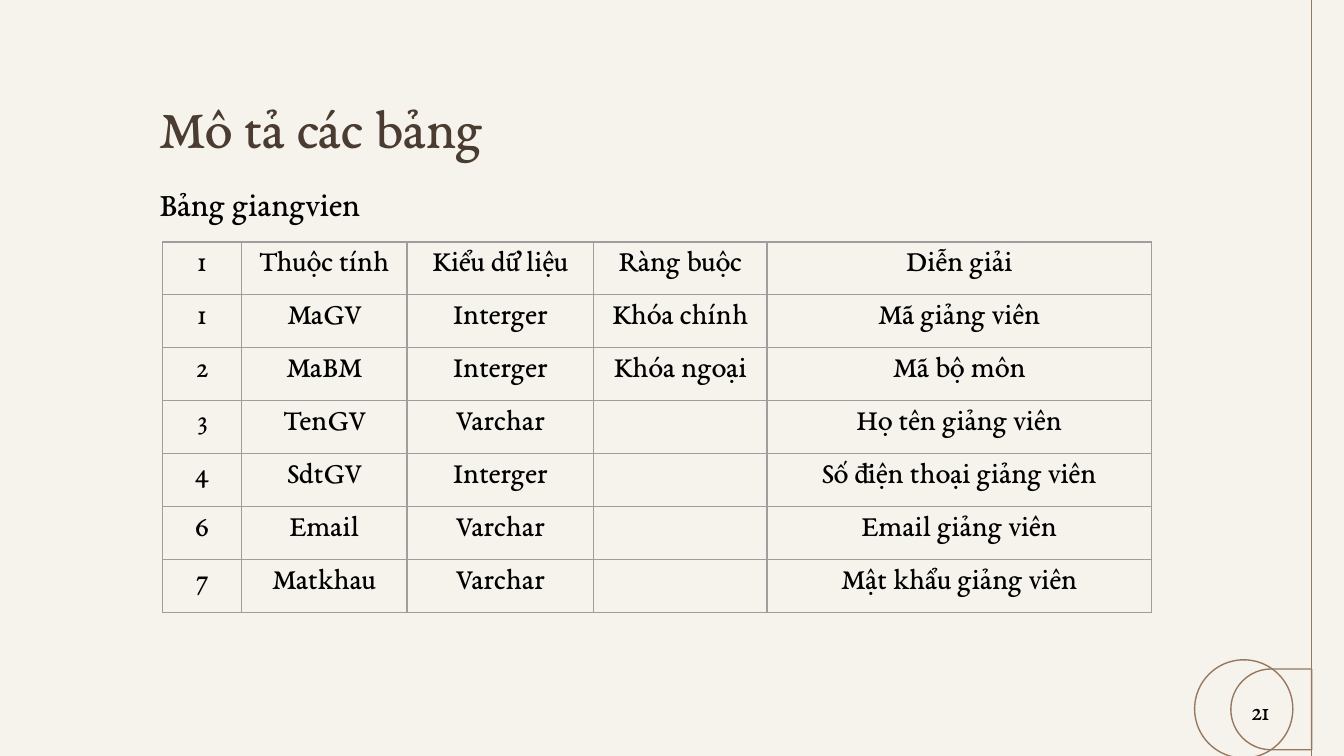
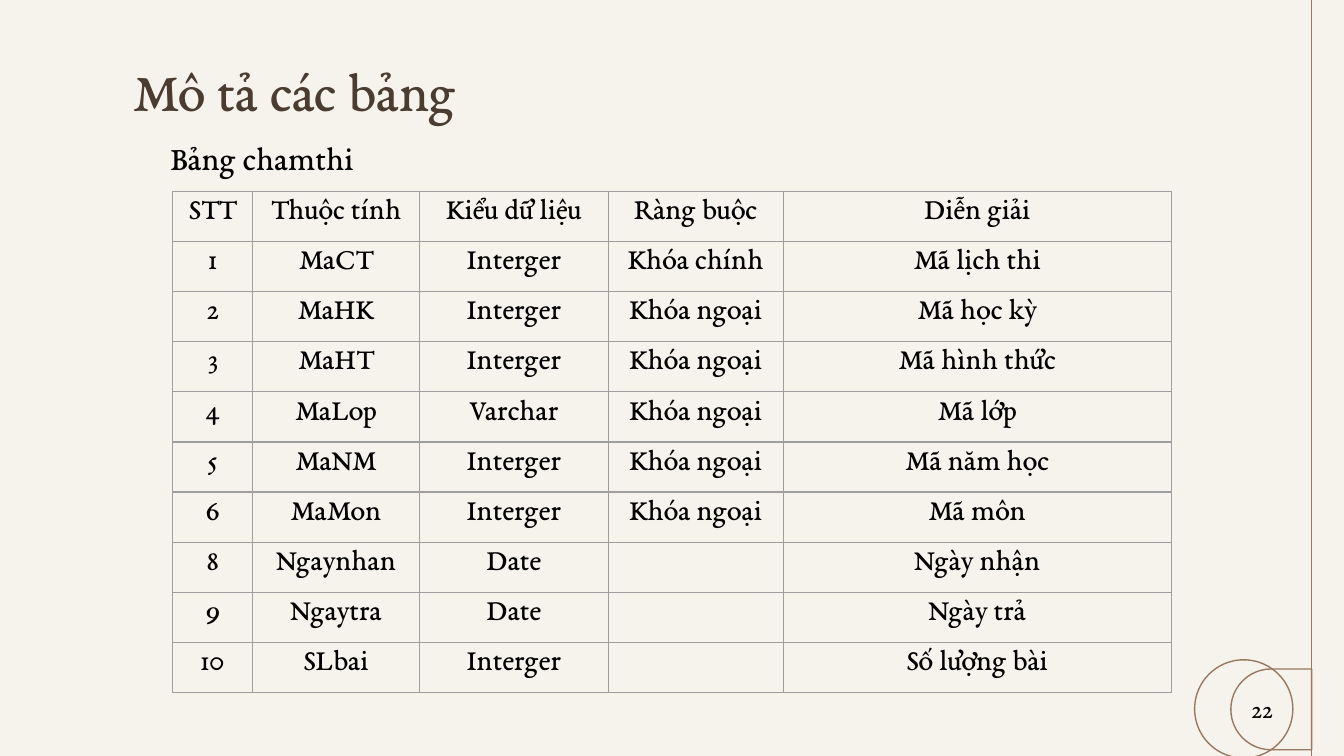
from lxml.etree import SubElement
from pptx import Presentation
from pptx.dml.color import RGBColor
from pptx.enum.shapes import MSO_CONNECTOR, MSO_SHAPE
from pptx.enum.text import MSO_ANCHOR, MSO_AUTO_SIZE, PP_ALIGN
from pptx.oxml.ns import qn
from pptx.util import Pt

FONT = "EB Garamond"
CREAM = RGBColor(0xF6, 0xF3, 0xEC)
BRONZE = RGBColor(0x96, 0x78, 0x60)
BROWN = RGBColor(0x4A, 0x3C, 0x30)
BLACK = RGBColor(0, 0, 0)
GRAY = RGBColor(0x9E, 0x9E, 0x9E)

TITLE = "Mô tả các bảng"
HEADINGS = ("Thuộc tính", "Kiểu dữ liệu", "Ràng buộc", "Diễn giải")
COLUMN_SHARES = (42.2, 88.8, 100, 92.9, 206)
CELL_SIZE = 16

# Positions are (left, top) and sizes (width, height), in points.
SLIDES = [
    {
        "title_at": (78.5, 42.5),
        "caption": "Bảng giangvien",
        "caption_at": (78.5, 94.3),
        "caption_width": 147,
        "table_at": (87.1, 129.6),
        "table_width": 529.9,
        "row_height": 28.4,
        "number": "21",
        "number_top": 368.6,
        "rows": [
            ("1", *HEADINGS),
            ("1", "MaGV", "Interger", "Khóa chính", "Mã giảng viên"),
            ("2", "MaBM", "Interger", "Khóa ngoại", "Mã bộ môn"),
            ("3", "TenGV", "Varchar", "", "Họ tên giảng viên"),
            ("4", "SdtGV", "Interger", "", "Số điện thoại giảng viên"),
            ("6", "Email", "Varchar", "", "Email giảng viên"),
            ("7", "Matkhau", "Varchar", "", "Mật khẩu giảng viên"),
        ],
    },
    {
        "title_at": (64.1, 22.3),
        "caption": "Bảng chamthi",
        "caption_at": (84.2, 69.8),
        "caption_width": 132.5,
        "table_at": (92.6, 102.4),
        "table_width": 535,
        "row_height": 26.9,
        "number": "22",
        "number_top": 367.2,
        "rows": [
            ("STT", *HEADINGS),
            ("1", "MaCT", "Interger", "Khóa chính", "Mã lịch thi"),
            ("2", "MaHK", "Interger", "Khóa ngoại", "Mã học kỳ"),
            ("3", "MaHT", "Interger", "Khóa ngoại", "Mã hình thức"),
            ("4", "MaLop", "Varchar", "Khóa ngoại", "Mã lớp"),
            ("5", "MaNM", "Interger", "Khóa ngoại", "Mã năm học"),
            ("6", "MaMon", "Interger", "Khóa ngoại", "Mã môn"),
            ("8", "Ngaynhan", "Date", "", "Ngày nhận"),
            ("9", "Ngaytra", "Date", "", "Ngày trả"),
            ("10", "SLbai", "Interger", "", "Số lượng bài"),
        ],
    },
]


def write(frame, text, size, color, align=PP_ALIGN.LEFT):
    frame.text = text
    paragraph = frame.paragraphs[0]
    paragraph.alignment = align
    for run in paragraph.runs:
        run.font.name = FONT
        run.font.size = Pt(size)
        run.font.color.rgb = color


def add_label(slide, text, position, width, size):
    left, top = position
    label = slide.shapes.add_textbox(Pt(left), Pt(top), Pt(width), Pt(size * 1.3 + 7.2))
    label.text_frame.word_wrap = True
    write(label.text_frame, text, size, BLACK)


def add_title(slide, position):
    title = slide.shapes.title
    title.left, title.top = map(Pt, position)
    title.width, title.height = Pt(607), Pt(45.4)
    frame = title.text_frame
    frame.margin_left = frame.margin_right = Pt(7.2)
    frame.margin_top = frame.margin_bottom = Pt(7.2)
    frame.vertical_anchor = MSO_ANCHOR.TOP
    frame.auto_size = MSO_AUTO_SIZE.NONE
    write(frame, TITLE, 30, BROWN)


def add_ornament(slide):
    """Draw the right-hand rule and the outlines around the slide number."""
    rule = slide.shapes.add_connector(
        MSO_CONNECTOR.STRAIGHT, Pt(702.7), Pt(-2), Pt(702.7), Pt(407))
    SubElement(rule._element.spPr, qn("a:effectLst"))
    circle = slide.shapes.add_shape(
        MSO_SHAPE.OVAL, Pt(640), Pt(353.5), Pt(52.6), Pt(52.6))
    tab = slide.shapes.add_shape(
        MSO_SHAPE.ROUND_2_SAME_RECTANGLE, Pt(659.4), Pt(358.4), Pt(43.3), Pt(43.3))
    tab.rotation = 270
    tab.adjustments[0], tab.adjustments[1] = 0.5, 0
    for outline in (circle, tab):
        outline.shadow.inherit = False
        outline.fill.background()
    for part in (rule, circle, tab):
        part.line.color.rgb = BRONZE
        part.line.width = Pt(0.75)


def add_borders(cell):
    properties = cell._tc.get_or_add_tcPr()
    for side in ("lnL", "lnR", "lnT", "lnB"):
        border = SubElement(properties, qn(f"a:{side}"), w=str(Pt(0.75)))
        fill = SubElement(border, qn("a:solidFill"))
        SubElement(fill, qn("a:srgbClr"), val=str(GRAY))


def fill_cell(cell, text):
    add_borders(cell)
    cell.fill.background()
    cell.vertical_anchor = MSO_ANCHOR.MIDDLE
    cell.margin_left = cell.margin_right = Pt(5)
    cell.margin_top, cell.margin_bottom = Pt(1), Pt(4.9)
    write(cell.text_frame, text, CELL_SIZE, BLACK, PP_ALIGN.CENTER)
    if not text:
        # The size of an empty paragraph keeps its row from growing.
        ending = cell.text_frame.paragraphs[0]._p.get_or_add_endParaRPr()
        ending.set("sz", str(CELL_SIZE * 100))


def add_attribute_table(slide, rows, position, width, row_height):
    left, top = position
    table = slide.shapes.add_table(
        len(rows), len(COLUMN_SHARES), Pt(left), Pt(top),
        Pt(width), Pt(row_height * len(rows))).table
    table.first_row = table.horz_banding = False
    for column, share in zip(table.columns, COLUMN_SHARES):
        column.width = Pt(width * share / sum(COLUMN_SHARES))
    for row, texts in zip(table.rows, rows):
        row.height = Pt(row_height)
        for cell, text in zip(row.cells, texts):
            fill_cell(cell, text)


def main():
    deck = Presentation()
    deck.slide_width, deck.slide_height = Pt(720), Pt(405)
    background = deck.slide_master.background.fill
    background.solid()
    background.fore_color.rgb = CREAM
    title_only = deck.slide_layouts[5]
    for content in SLIDES:
        slide = deck.slides.add_slide(title_only)
        add_ornament(slide)
        add_title(slide, content["title_at"])
        add_label(slide, content["caption"], content["caption_at"],
                  content["caption_width"], 18)
        add_attribute_table(slide, content["rows"], content["table_at"],
                            content["table_width"], content["row_height"])
        add_label(slide, content["number"], (663.1, content["number_top"]), 29.5, 14)
    deck.save("out.pptx")


if __name__ == "__main__":
    main()
